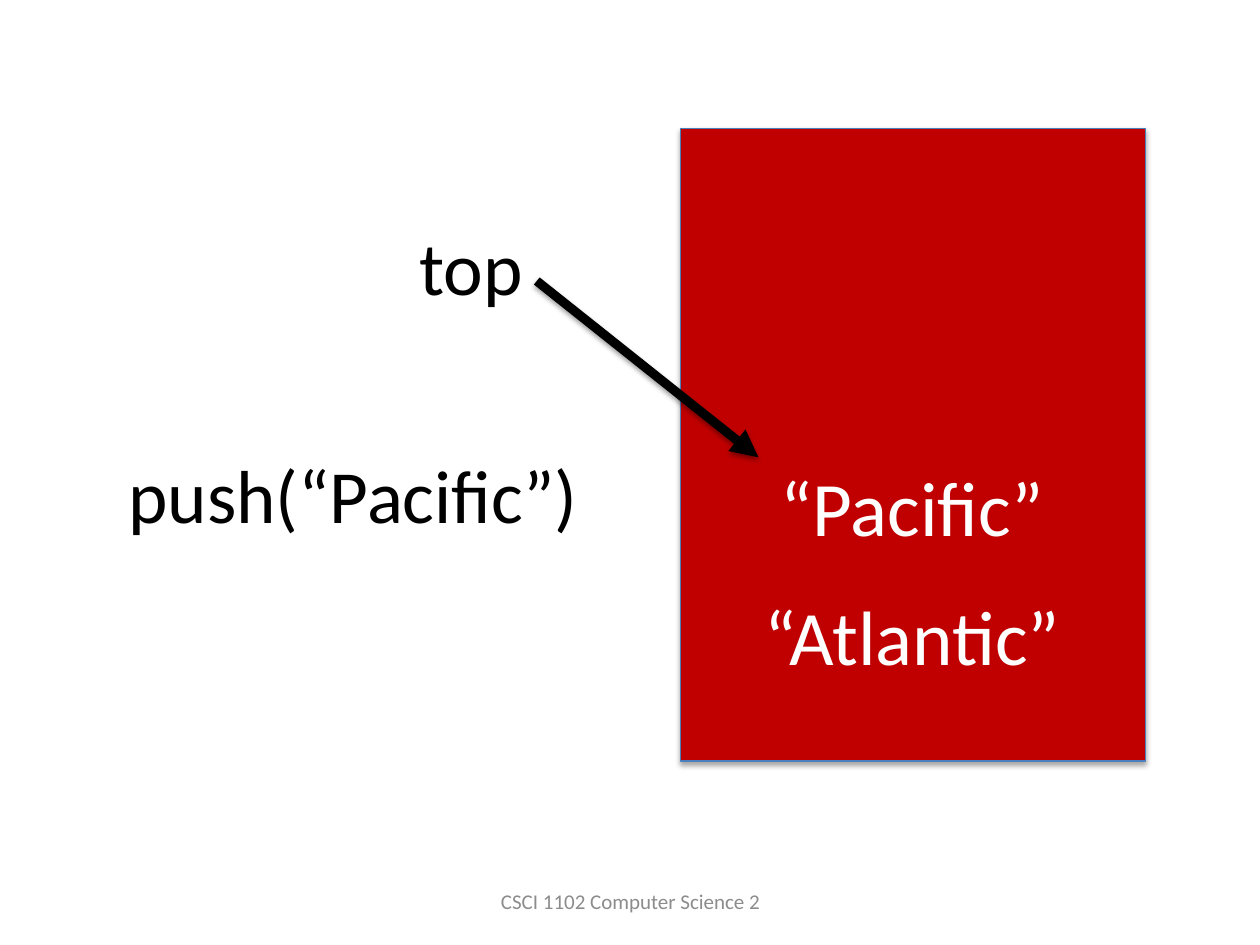
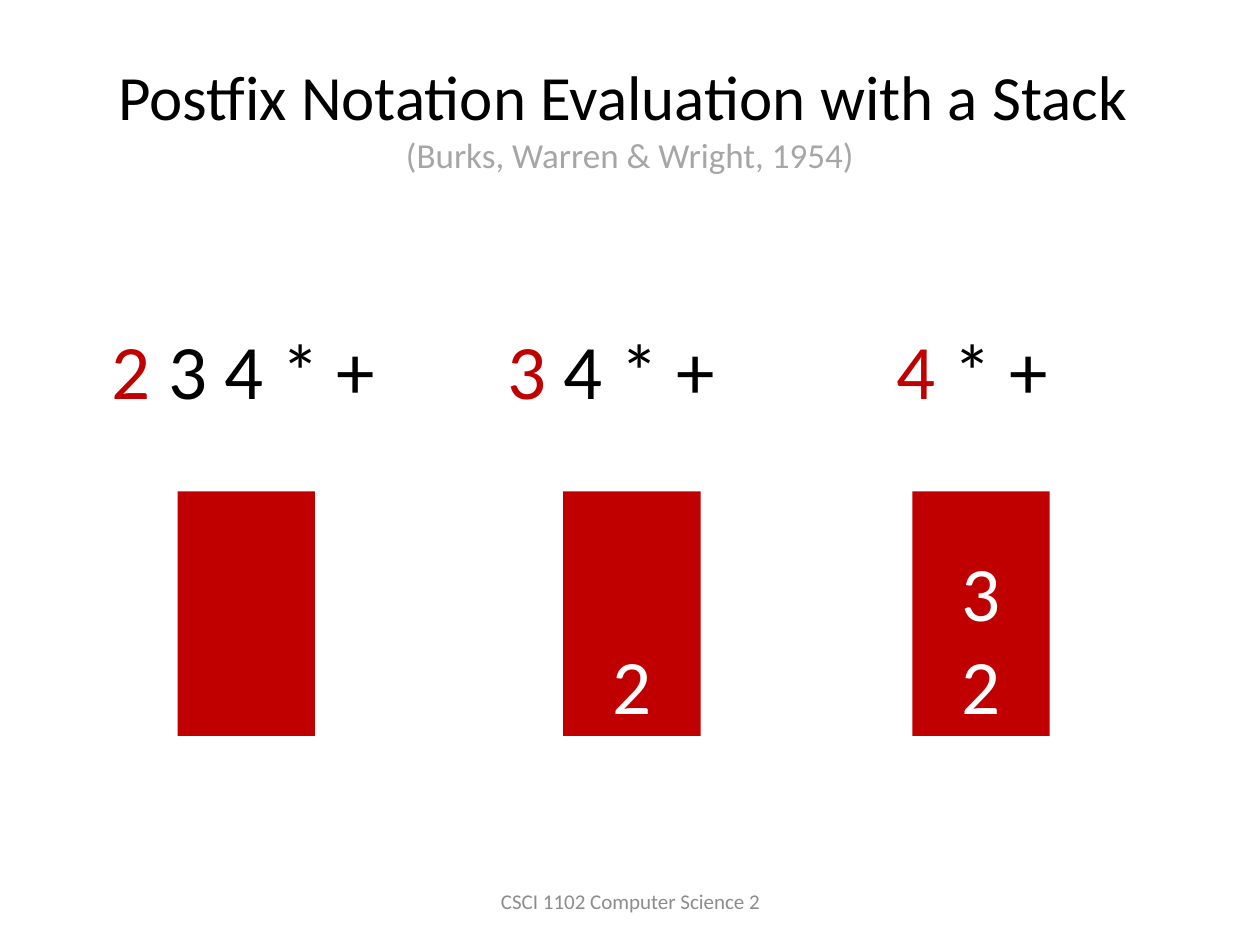
from lxml import etree
from pptx import Presentation
from pptx.dml.color import RGBColor
from pptx.enum.shapes import MSO_CONNECTOR, MSO_SHAPE
from pptx.enum.text import MSO_ANCHOR as Anchor, MSO_AUTO_SIZE, PP_ALIGN as Align
from pptx.oxml.ns import qn
from pptx.util import Inches, Pt

FONT = "Calibri"
RED, BLACK, WHITE = "C00000", "000000", "FFFFFF"
EDGE, FOOTER_GRAY, CITATION_GRAY = "4B7EBC", "8C8C8C", "A6A6A6"
FOOTER = "CSCI 1102 Computer Science 2"
TITLE_ONLY = 5
TEXT_HEIGHT = 1.25


def rgb(color):
    """Turn a hex string into a colour."""
    return RGBColor.from_string(color)


def box(left, top, width, height):
    """Give a position and size in inches."""
    return Inches(left), Inches(top), Inches(width), Inches(height)


def style_run(run, size, color):
    """Set the font of one run."""
    run.font.name = FONT
    run.font.size = Pt(size)
    run.font.color.rgb = rgb(color)


def style_frame(frame, size, color, align=Align.CENTER, anchor=Anchor.MIDDLE):
    """Format all the text of a frame alike."""
    frame.word_wrap = True
    frame.auto_size = MSO_AUTO_SIZE.NONE
    frame.vertical_anchor = anchor
    for paragraph in frame.paragraphs:
        paragraph.alignment = align
        for run in paragraph.runs:
            style_run(run, size, color)


def add_label(shapes, text, place, size, color, align=Align.CENTER):
    """Add a text box in one style and return its frame."""
    frame = shapes.add_textbox(*box(*place)).text_frame
    frame.text = text
    style_frame(frame, size, color, align)
    return frame


def set_title(slide, text, place, size, color):
    """Fill the title, bring it to the front and return its paragraph."""
    title = slide.shapes.title
    title.left, title.top, title.width, title.height = box(*place)
    title.text_frame.text = text
    style_frame(title.text_frame, size, color)
    slide.shapes._spTree.append(title._element)
    return title.text_frame.paragraphs[0]


def add_stack(shapes, place, items=()):
    """Add a red stack with its items listed from the top down."""
    stack = shapes.add_shape(MSO_SHAPE.RECTANGLE, *box(*place))
    stack.shadow.inherit = False
    stack.fill.solid()
    stack.fill.fore_color.rgb = rgb(RED)
    stack.line.fill.background()
    if items:
        stack.text_frame.text = "\n".join(items)
        style_frame(stack.text_frame, 44, WHITE, anchor=Anchor.BOTTOM)
    return stack


def add_shadow(shape, opacity, distance):
    """Drop a soft black shadow straight below a shape."""
    properties = shape._element.spPr
    effects = properties.find(qn("a:effectLst"))
    if effects is None:
        effects = etree.SubElement(properties, qn("a:effectLst"))
    shadow = etree.SubElement(
        effects, qn("a:outerShdw"), blurRad=str(Pt(3.1)), dist=str(Pt(distance)),
        dir="5400000", rotWithShape="0")
    tint = etree.SubElement(shadow, qn("a:srgbClr"), val=BLACK)
    etree.SubElement(tint, qn("a:alpha"), val=str(opacity * 1000))


def add_pointer(shapes, start, end):
    """Add a thick black arrow."""
    pointer = shapes.add_connector(
        MSO_CONNECTOR.STRAIGHT, *map(Inches, (*start, *end)))
    pointer.line.color.rgb = rgb(BLACK)
    pointer.line.width = Pt(5.25)
    etree.SubElement(pointer.line._get_or_add_ln(), qn("a:tailEnd"), type="triangle")
    add_shadow(pointer, 38, 1.6)


def add_step(slide, expression, items, text_left, text_width, stack_left):
    """Group the remaining expression, its next token in red, with the stack."""
    shapes = slide.shapes.add_group_shape().shapes
    frame = add_label(shapes, expression[0], (text_left, 2.3, text_width, TEXT_HEIGHT),
                      44, RED, Align.LEFT)
    rest = frame.paragraphs[0].add_run()
    rest.text = expression[1:]
    style_run(rest, 44, BLACK)
    add_stack(shapes, (stack_left, 3.9, 1.09, 1.94), items)


def add_slide(prs):
    """Add a titled slide with the course footer."""
    slide = prs.slides.add_slide(prs.slide_layouts[TITLE_ONLY])
    add_label(slide.shapes, FOOTER, (3.42, 6.95, 3.17, 0.4), 12, FOOTER_GRAY)
    return slide


def build_push(prs):
    """Show the stack after a push."""
    slide = add_slide(prs)
    shapes = slide.shapes
    stack = add_stack(shapes, (5.4, 1.02, 3.69, 5.02))
    stack.line.color.rgb = rgb(EDGE)
    stack.line.width = Pt(0.75)
    add_shadow(stack, 35, 1.8)
    set_title(slide, "“Atlantic”", (5.74, 4.41, 3, TEXT_HEIGHT), 44, WHITE)
    add_label(shapes, "push(“Pacific”)", (0.83, 3.29, 3.94, TEXT_HEIGHT), 42.9, BLACK)
    add_label(shapes, "“Pacific”", (5.74, 3.39, 3, TEXT_HEIGHT), 44, WHITE)
    add_label(shapes, "top", (3.07, 1.48, 1.34, TEXT_HEIGHT), 42.9, BLACK)
    add_pointer(shapes, (4.26, 2.23), (6.02, 3.63))


def build_postfix(prs):
    """Show the first steps of a postfix evaluation."""
    slide = add_slide(prs)
    heading = set_title(
        slide, "Postfix Notation Evaluation with a Stack \v(Burks, Warren & Wright, 1954)",
        (0.5, 0.3, 9, TEXT_HEIGHT), 36, BLACK)
    style_run(heading.runs[1], 20, CITATION_GRAY)
    line_break = heading._p.find(qn("a:br"))
    etree.SubElement(line_break, qn("a:rPr"), sz="3600")
    steps = [
        ("2 3 4 * +", (), 0.79, 2.33, 1.41),
        ("3 4 * +", ("2",), 3.93, 2.17, 4.47),
        ("4 * +", ("3", "2"), 7.02, 1.53, 7.24),
    ]
    for step in steps:
        add_step(slide, *step)


def main():
    """Build and save the presentation."""
    prs = Presentation()
    prs.slide_width, prs.slide_height = Inches(10), Inches(7.5)
    build_push(prs)
    build_postfix(prs)
    prs.save("out.pptx")


if __name__ == "__main__":
    main()
